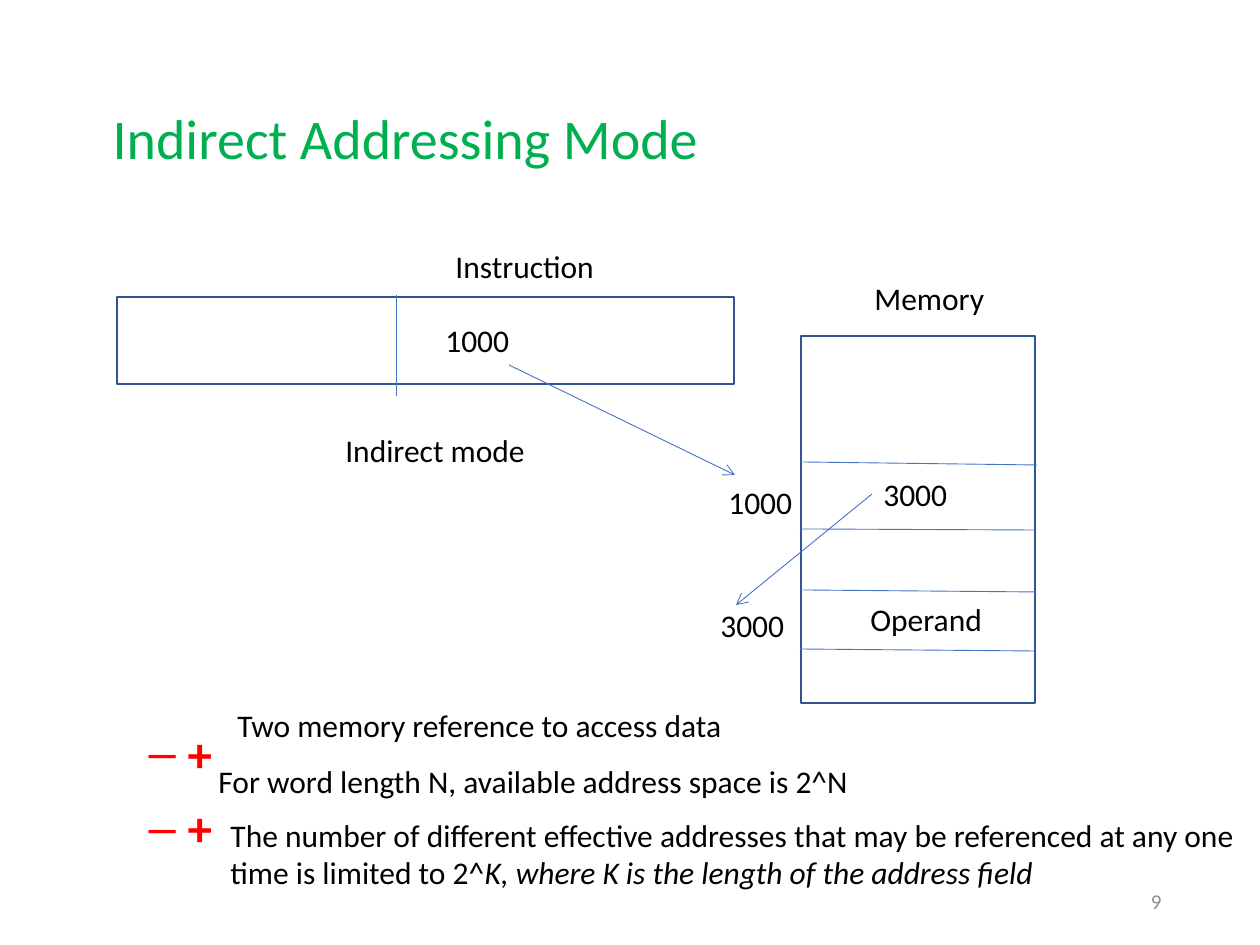
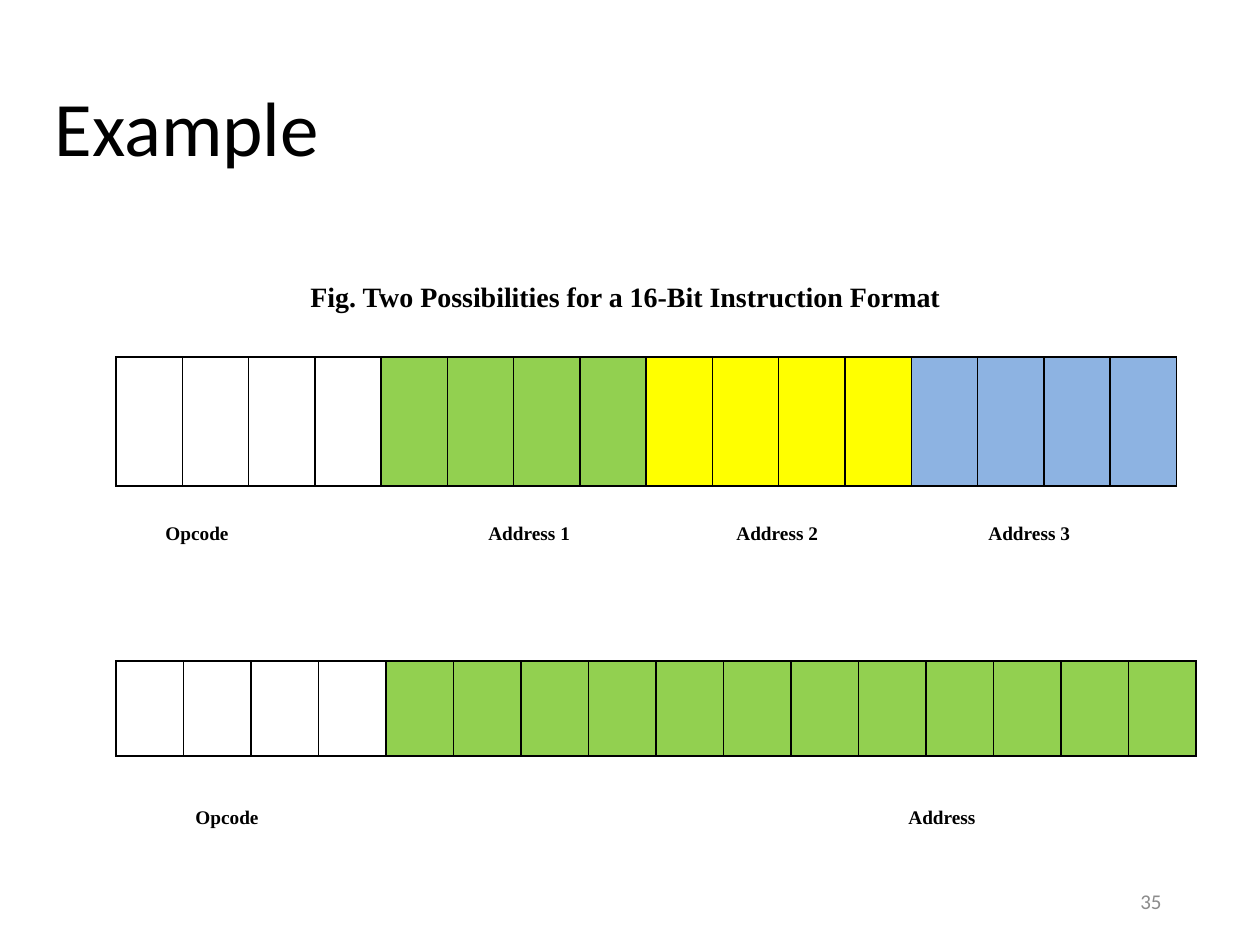
"""Builds two slides on indirect addressing and 16-bit instruction formats."""
from lxml.etree import SubElement
from pptx import Presentation
from pptx.dml.color import RGBColor
from pptx.enum.shapes import MSO_CONNECTOR, MSO_SHAPE
from pptx.enum.text import MSO_ANCHOR, MSO_AUTO_SIZE, PP_ALIGN
from pptx.oxml.ns import qn
from pptx.util import Emu, Pt

BLACK = RGBColor(0x00, 0x00, 0x00)
WHITE = RGBColor(0xFF, 0xFF, 0xFF)
GRAY = RGBColor(0x8C, 0x8C, 0x8C)
RED = RGBColor(0xFF, 0x00, 0x00)
TITLE_GREEN = RGBColor(0x00, 0xB0, 0x50)
OUTLINE_BLUE = RGBColor(0x32, 0x54, 0x91)
LINE_BLUE = RGBColor(0x44, 0x72, 0xC4)
FIELD_GREEN = RGBColor(0x92, 0xD0, 0x50)
FIELD_YELLOW = RGBColor(0xFF, 0xFF, 0x00)
FIELD_BLUE = RGBColor(0x8D, 0xB3, 0xE2)
SANS, SERIF = "Calibri", "Times New Roman"
BITS = 16
TEXT_INSET = 13


def px(length):
    return Emu(round(length * 914400 / 126))


def add_text(slide, text, left, top, width, height=50, size=18, name=SANS,
             color=BLACK, bold=False, align=PP_ALIGN.LEFT, tabs=()):
    box = slide.shapes.add_textbox(px(left), px(top), px(width), px(height))
    box.text_frame.word_wrap = True
    box.text_frame.vertical_anchor = MSO_ANCHOR.MIDDLE
    paragraph = box.text_frame.paragraphs[0]
    paragraph.text = text
    paragraph.alignment = align
    if tabs:
        tab_list = SubElement(paragraph._p.get_or_add_pPr(), qn("a:tabLst"))
        for tab in tabs:
            SubElement(tab_list, qn("a:tab"), pos=str(px(tab)), algn="l")
    font = paragraph.font
    font.size, font.name, font.bold = Pt(size), name, bold
    font.color.rgb = color
    return paragraph


presentation = Presentation()
presentation.slide_width, presentation.slide_height = px(1260), px(945)
layouts = presentation.slide_layouts
addressing = presentation.slides.add_slide(layouts[1])
example = presentation.slides.add_slide(layouts[5])

for slide, text, frame, size, color, number in (
    (addressing, "Indirect Addressing Mode", (100, 50, 1073, 183), 32, TITLE_GREEN, "9"),
    (example, "Example", (42, 53, 1134, 158), 44, BLACK, "35"),
):
    title = slide.shapes.title
    title.left, title.top, title.width, title.height = map(px, frame)
    title.text_frame.text = text
    title.text_frame.vertical_anchor = MSO_ANCHOR.MIDDLE
    paragraph = title.text_frame.paragraphs[0]
    paragraph.alignment = PP_ALIGN.LEFT
    paragraph.line_spacing = 0.9
    paragraph.font.size, paragraph.font.name = Pt(size), SANS
    paragraph.font.color.rgb = color
    add_text(slide, number, 890, 876, 284, size=12, color=GRAY, align=PP_ALIGN.RIGHT)

body = addressing.placeholders[1]
body.left, body.top, body.width, body.height = px(73), px(717), px(160), px(160)
body.text_frame.auto_size = MSO_AUTO_SIZE.NONE
body.text_frame.vertical_anchor = MSO_ANCHOR.TOP
body.text_frame.text = "+\n+"
for paragraph, space in zip(body.text_frame.paragraphs, (0, 9)):
    properties = paragraph._p.get_or_add_pPr()
    properties.set("marL", str(px(102)))
    properties.set("indent", str(-px(39)))
    paragraph.space_before = Pt(space)
    bullet_color = SubElement(properties, qn("a:buClr"))
    SubElement(bullet_color, qn("a:srgbClr"), val=str(RED))
    SubElement(properties, qn("a:buChar"), char="–")
    font = paragraph.font
    font.size, font.name, font.bold = Pt(28), SANS, True
    font.color.rgb = RED

memory_frame = (801, 336, 234, 367)
instruction_frame = (117, 297, 617, 87)
for frame in (memory_frame, instruction_frame):
    box = addressing.shapes.add_shape(MSO_SHAPE.RECTANGLE, *map(px, frame))
    box.shadow.inherit = False
    box.fill.solid()
    box.fill.fore_color.rgb = WHITE
    box.line.color.rgb = OUTLINE_BLUE
    box.line.width = Pt(1)

for *ends, has_arrow in (
    (396, 295, 396, 396, False),
    (803, 462, 1037, 465, False),
    (800, 529, 1034, 530, False),
    (803, 590, 1036, 592, False),
    (800, 649, 1034, 651, False),
    (509, 365, 735, 475, True),
    (872, 494, 736, 605, True),
):
    connector = addressing.shapes.add_connector(MSO_CONNECTOR.STRAIGHT, *map(px, ends))
    connector.line.color.rgb = LINE_BLUE
    connector.line.width = Pt(0.5)
    if has_arrow:
        SubElement(connector.get_or_add_ln(), qn("a:tailEnd"), type="arrow")
    SubElement(connector.element.spPr, qn("a:effectLst"))

for text, left, top, width in (
    ("Instruction", 443, 241, 185),
    ("1000", 433, 315, 100),
    ("Indirect mode", 333, 425, 316),
    ("Memory", 862, 273, 150),
    ("1000", 716, 477, 100),
    ("3000", 871, 469, 100),
    ("3000", 708, 600, 100),
    ("Operand", 858, 594, 150),
    ("Two memory reference to access data", 225, 700, 677),
    ("For word length N, available address space is 2^N", 206, 756, 677),
):
    add_text(addressing, text, left, top, width)

limit = add_text(
    addressing,
    "The number of different effective addresses that may be referenced "
    "at any one time is limited to 2^", 218, 809, 1042, 89)
field_length = limit.add_run()
field_length.text = "K, where K is the length of the address field"
field_length.font.italic = True

add_text(example, "Fig. Two Possibilities for a 16-Bit Instruction Format", 32, 273, 1187, 47,
         size=16, name=SERIF, bold=True, align=PP_ALIGN.CENTER)

for top, width, height, field_fills in (
    (357, 1061, 129, (None, FIELD_GREEN, FIELD_YELLOW, FIELD_BLUE)),
    (661, 1081, 95, (None, FIELD_GREEN, FIELD_GREEN, FIELD_GREEN)),
):
    table = example.shapes.add_table(1, BITS, px(116), px(top), px(width), px(height)).table
    table.first_row = table.horz_banding = False
    for bit in range(BITS):
        table.columns[bit].width = Emu(px(width) // BITS)
        cell = table.cell(0, bit)
        fill = field_fills[bit * len(field_fills) // BITS]
        properties = cell._tc.get_or_add_tcPr()
        for side in ("a:lnL", "a:lnR", "a:lnT", "a:lnB"):
            border = SubElement(properties, qn(side), w=str(Pt(1)))
            border_fill = SubElement(border, qn("a:solidFill"))
            SubElement(border_fill, qn("a:srgbClr"), val=str(BLACK))
        if fill is None:
            cell.fill.background()
        else:
            cell.fill.solid()
            cell.fill.fore_color.rgb = fill

for top, labels, starts in (
    (514, ("Opcode", "Address 1", "Address 2", "Address 3"), (166, 489, 737, 989)),
    (798, ("Opcode", "Address"), (196, 909)),
):
    add_text(example, "\t".join(labels), starts[0] - TEXT_INSET, top, 1020, 37,
             size=11, name=SERIF, bold=True,
             tabs=[start - starts[0] for start in starts[1:]])

presentation.save("out.pptx")
